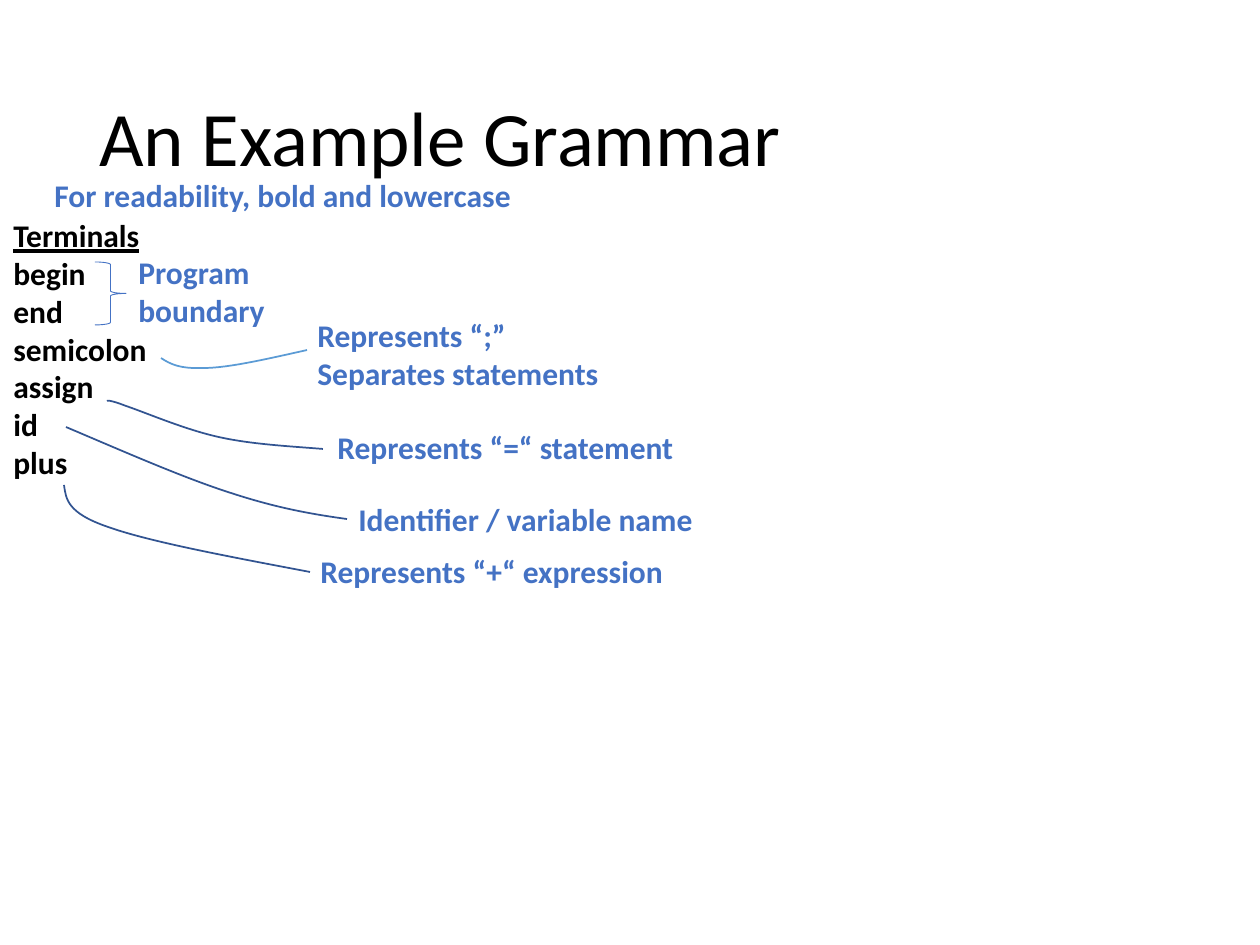
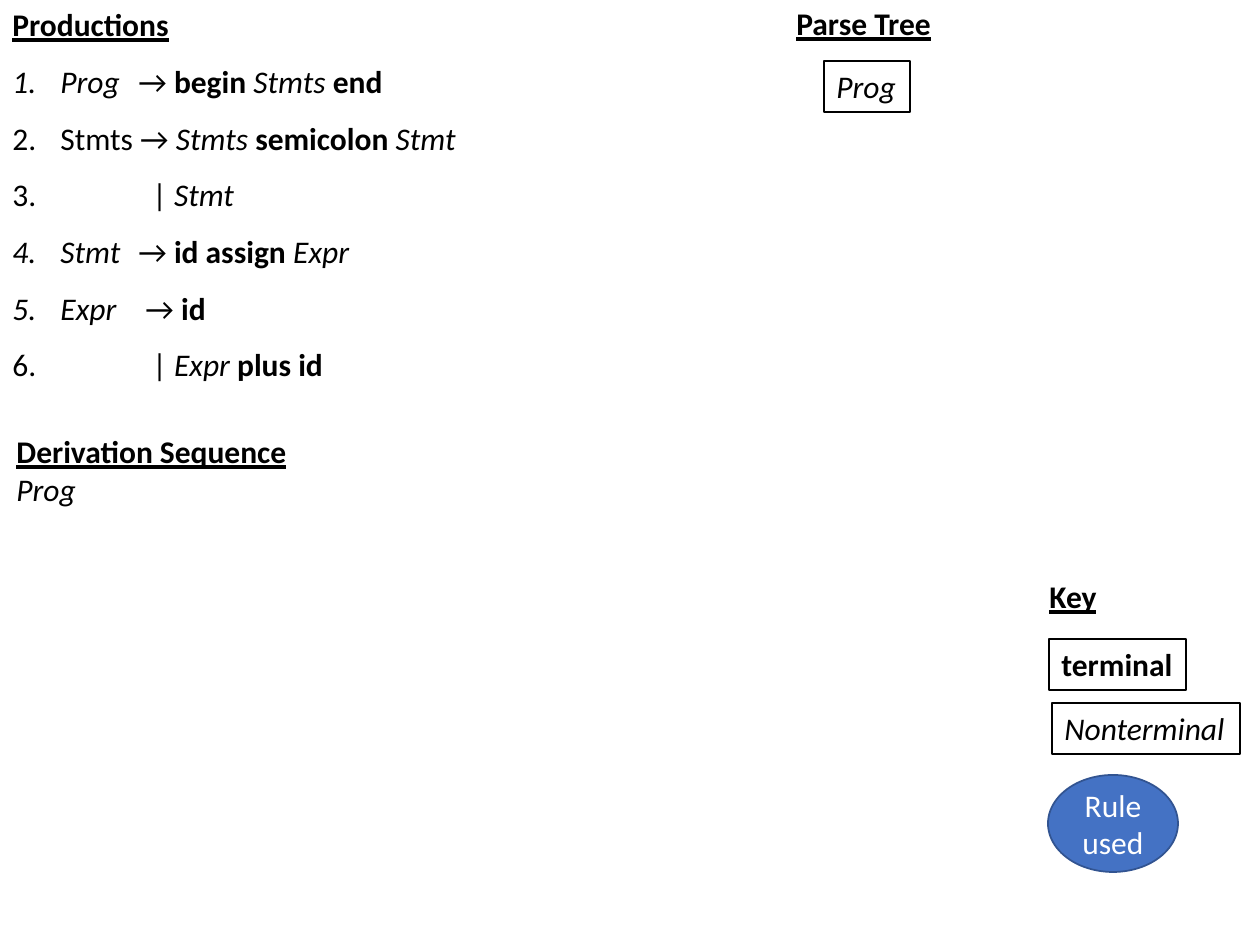
from dataclasses import dataclass

import lxml.etree
import pptx
import pptx.dml.color
import pptx.enum.shapes
import pptx.enum.text
import pptx.oxml.ns
import pptx.util

EMU_PER_PX = 914400 / 126
SHAPES = pptx.enum.shapes.MSO_SHAPE
ANCHORS = pptx.enum.text.MSO_ANCHOR


@dataclass(frozen=True)
class Theme:
    font: str = "Calibri"
    black: str = "000000"
    white: str = "FFFFFF"
    accent: str = "4472C4"
    outline: str = "325491"
    light_blue: str = "5B9BD5"
    title_size: int = 44
    body_size: int = 18


THEME = Theme()

TERMINALS = ["begin", "end", "semicolon", "assign", "id", "plus"]

NOTES = [
    ((42, 170, 500, 50), ["For readability, bold and lowercase"]),
    ((126, 247, 152, 89), ["Program", "boundary"]),
    ((305, 310, 309, 89), ["Represents “;”", "Separates statements"]),
    ((325, 422, 364, 50), ["Represents “=“ statement"]),
    ((346, 494, 363, 50), ["Identifier / variable name"]),
    ((308, 546, 370, 50), ["Represents “+“ expression"]),
]

NOTE_CURVES = [
    (THEME.light_blue, [(307, 350), (267, 359), (228, 368), (204, 368),
                        (180, 369), (170, 364), (161, 358)]),
    (THEME.outline, [(107, 401), (107, 401), (108, 399), (126, 406),
                     (144, 412), (181, 428), (214, 436),
                     (247, 444), (285, 446), (323, 449)]),
    (THEME.outline, [(66, 427), (125, 452), (184, 478), (231, 493),
                     (277, 508), (311, 514), (347, 519)]),
    (THEME.outline, [(310, 572), (231, 557), (150, 542), (108, 527),
                     (67, 513), (66, 499), (64, 485)]),
]

RULE_INDENT = 48
ALTERNATIVE_INDENT = 140
PRODUCTIONS = [
    (RULE_INDENT, [("Prog", "i"), (" \t→ ", ""), ("begin ", "b"),
                   ("Stmts ", "i"), ("end", "b")]),
    (RULE_INDENT, [("Stmts → ", ""), ("Stmts ", "i"),
                   ("semicolon ", "b"), ("Stmt", "i")]),
    (ALTERNATIVE_INDENT, [("| ", ""), ("Stmt", "i")]),
    (RULE_INDENT, [("Stmt", "i"), (" \t→ ", ""),
                   ("id assign ", "b"), ("Expr", "i")]),
    (RULE_INDENT, [("Expr", "i"), ("\t → ", ""), ("id", "b")]),
    (ALTERNATIVE_INDENT, [("| ", ""), ("Expr ", "i"), ("plus id", "b")]),
]

SYMBOL_BOXES = [
    ((824, 61, 86, 51), "Prog", "i"),
    ((1049, 639, 137, 51), "terminal", "b"),
    ((1052, 703, 188, 51), "Nonterminal", "i"),
]


def px(length):
    return pptx.util.Emu(round(length * EMU_PER_PX))


def rgb(color):
    return pptx.dml.color.RGBColor.from_string(color)


def add_run(paragraph, text, style="", color=THEME.black, size=THEME.body_size):
    run = paragraph.add_run()
    run.text = text
    font = run.font
    font.name = THEME.font
    font.size = pptx.util.Pt(size)
    font.color.rgb = rgb(color)
    font.bold = "b" in style
    font.italic = "i" in style
    font.underline = "u" in style


def write_lines(text_frame, lines, color=THEME.black, size=THEME.body_size):
    for index, runs in enumerate(lines):
        paragraph = text_frame.add_paragraph() if index else text_frame.paragraphs[0]
        paragraph.alignment = pptx.enum.text.PP_ALIGN.LEFT
        for text, style in runs:
            add_run(paragraph, text, style, color, size)


def add_text(slide, box, lines, color=THEME.black, size=THEME.body_size, wrap=False):
    shape = slide.shapes.add_textbox(*map(px, box))
    shape.text_frame.word_wrap = wrap
    write_lines(shape.text_frame, lines, color, size)
    return shape.text_frame


def add_title(slide, box, text):
    text_frame = add_text(slide, box, [[(text, "")]], size=THEME.title_size, wrap=True)
    text_frame.vertical_anchor = ANCHORS.MIDDLE
    text_frame.paragraphs[0].line_spacing = 0.9


def style_outline(shape, color, width=1, fill=None):
    shape.shadow.inherit = False
    shape.line.color.rgb = rgb(color)
    shape.line.width = pptx.util.Pt(width)
    if fill:
        shape.fill.solid()
        shape.fill.fore_color.rgb = rgb(fill)
    else:
        shape.fill.background()


def add_shape(slide, kind, box, color, width=1, fill=None):
    shape = slide.shapes.add_shape(kind, *map(px, box))
    style_outline(shape, color, width, fill)
    return shape


def add_curve(slide, color, points):
    builder = slide.shapes.build_freeform(*points[0], scale=EMU_PER_PX)
    builder.add_line_segments(points[1:], close=False)
    shape = builder.convert_to_shape()
    style_outline(shape, color)
    segments = shape.element.xpath(".//a:lnTo")
    outline = segments[0].getparent()
    for start in range(0, len(segments), 3):
        bezier = lxml.etree.SubElement(outline, pptx.oxml.ns.qn("a:cubicBezTo"))
        for segment in segments[start:start + 3]:
            bezier.append(segment[0])
            outline.remove(segment)


def add_symbol_box(slide, box, text, style):
    shape = add_shape(slide, SHAPES.RECTANGLE, box, THEME.black, fill=THEME.white)
    shape.text_frame.word_wrap = False
    shape.text_frame.vertical_anchor = ANCHORS.TOP
    write_lines(shape.text_frame, [[(text, style)]])


def add_rule_marker(slide, box, text):
    shape = add_shape(slide, SHAPES.OVAL, box, THEME.outline, fill=THEME.accent)
    shape.text_frame.vertical_anchor = ANCHORS.MIDDLE
    write_lines(shape.text_frame, [[(text, "")]], THEME.white)
    shape.text_frame.paragraphs[0].alignment = pptx.enum.text.PP_ALIGN.CENTER


def number_paragraph(paragraph, indent):
    paragraph.line_spacing = 1.5
    properties = paragraph._p.get_or_add_pPr()
    properties.set("marL", str(px(indent)))
    properties.set("indent", str(px(-indent)))
    number = lxml.etree.SubElement(properties, pptx.oxml.ns.qn("a:buAutoNum"))
    number.set("type", "arabicPeriod")


def add_productions(slide, box):
    lines = [[("Productions", "bu")]] + [runs for _, runs in PRODUCTIONS]
    text_frame = add_text(slide, box, lines)
    for paragraph, (indent, _) in zip(text_frame.paragraphs[1:], PRODUCTIONS):
        number_paragraph(paragraph, indent)


def build_grammar_slide(slide):
    add_title(slide, (87, 50, 1086, 183), "An Example Grammar")
    terminals = [[("Terminals", "bu")]] + [[(name, "b")] for name in TERMINALS]
    add_text(slide, (1, 210, 159, 280), terminals)
    add_shape(slide, SHAPES.RIGHT_BRACE, (95, 262, 31, 63), THEME.accent, 0.5)
    for box, lines in NOTES:
        add_text(slide, box, [[(line, "b")] for line in lines], THEME.accent)
    for color, points in NOTE_CURVES:
        add_curve(slide, color, points)


def build_derivation_slide(slide):
    add_text(slide, (4, 426, 1004, 165),
             [[("Derivation Sequence", "bu")], [("Prog", "i")]], wrap=True)
    add_productions(slide, (0, -1, 472, 394))
    add_text(slide, (784, -2, 161, 50), [[("Parse Tree", "bu")]])
    add_text(slide, (1037, 571, 73, 50), [[("Key", "bu")]])
    for box, text, style in SYMBOL_BOXES:
        add_symbol_box(slide, box, text, style)
    add_rule_marker(slide, (1048, 775, 130, 97), "Rule used")


def main():
    presentation = pptx.Presentation()
    presentation.slide_width = px(1260)
    presentation.slide_height = px(945)
    blank = presentation.slide_layouts[6]
    for build in (build_grammar_slide, build_derivation_slide):
        build(presentation.slides.add_slide(blank))
    presentation.save("out.pptx")


if __name__ == "__main__":
    main()
